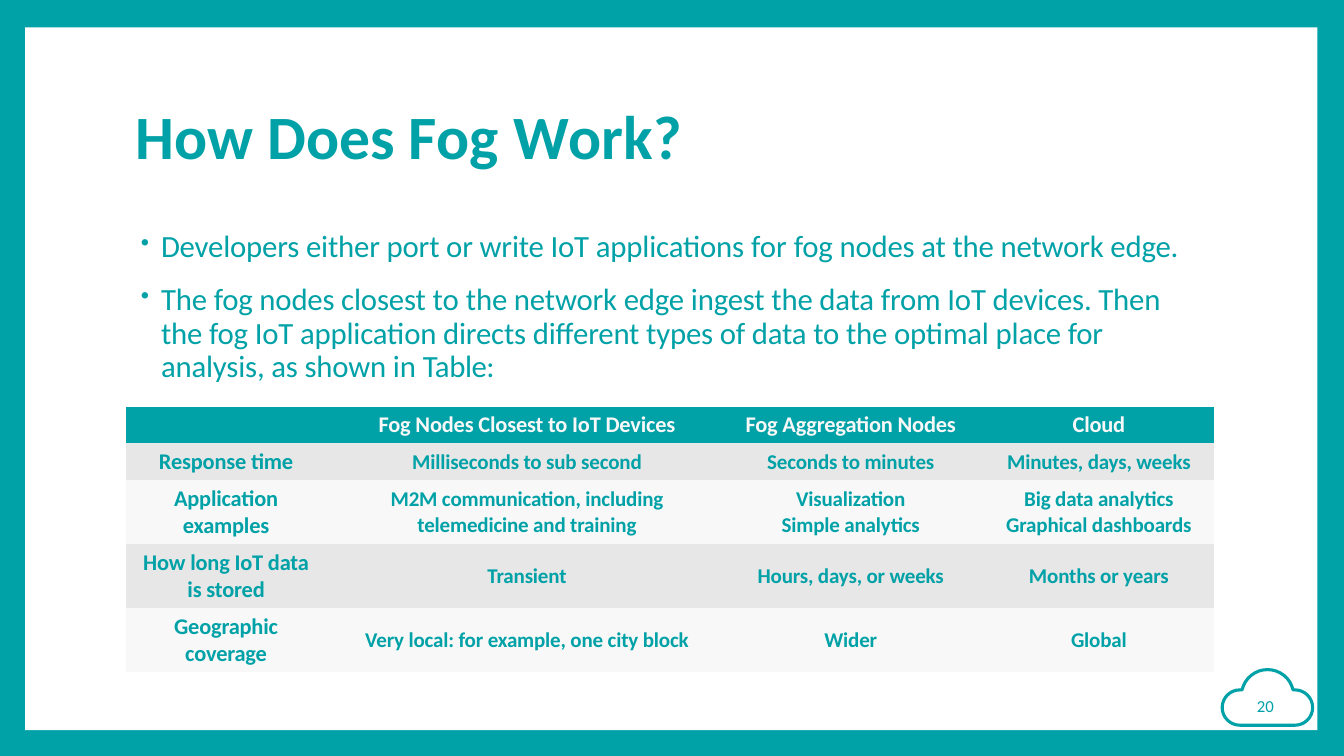
import math

from lxml import etree
from pptx import Presentation
from pptx.dml.color import RGBColor
from pptx.enum import shapes, text
from pptx.oxml import ns
from pptx.util import Pt

TEAL = RGBColor(0x00, 0xA1, 0xA7)
WHITE = RGBColor(0xFF, 0xFF, 0xFF)
PALE = RGBColor(0xF8, 0xF8, 0xF8)
GREY = RGBColor(0xE7, 0xE7, 0xE7)
NO_GRID = "{2D5ABB26-0587-4C30-8999-92F81FD0307C}"

TITLE = [("How Does Fog ", 0), ("W", -1.6), ("ork?", 0)]
POINTS = [
    [("Developers either port or write IoT applications", -0.1), (" for ", 0),
     ("fog nodes at the network edge.", -0.1)],
    [("The fog nodes closest ", -0.1), ("to ", 0),
     ("the network edge ingest the data from IoT devices. Then the fog IoT "
      "application directs different types of data to the optimal place for "
      "analysis, as shown in ", -0.1), ("Table:", -0.3)],
]
COMPARISON = [
    ["", "Fog Nodes Closest to IoT Devices", "Fog Aggregation Nodes", "Cloud"],
    ["Response time", "Milliseconds to sub second", "Seconds to minutes",
     "Minutes, days, weeks"],
    ["Application\nexamples",
     "M2M communication, including\ntelemedicine and training",
     "Visualization\nSimple analytics",
     "Big data analytics\nGraphical dashboards"],
    ["How long IoT data\nis stored", "Transient", "Hours, days, or weeks",
     "Months or years"],
    ["Geographic\ncoverage", "Very local: for example, one city block", "Wider",
     "Global"],
]
COLUMN_WIDTHS = [150, 273, 189.5, 165]
ROW_HEIGHTS = [26.3, 26.3, 45.7, 45.7, 45.7]
ROW_FILLS = [TEAL, GREY, PALE, GREY, PALE]
CLOUD_ARCS = [
    (885.6, 505.4, 12.6, 90, 270),
    (905.4, 497, 18.7, 193, 347),
    (925, 505.4, 12.6, -90, 90),
]


class Slide:
    font = "Calibri"

    def __init__(self, deck):
        self.slide = deck.slides.add_slide(deck.slide_layouts[6])
        self.shapes = self.slide.shapes

    def panel(self, left, top, width, height, color):
        panel = self.shapes.add_shape(shapes.MSO_SHAPE.RECTANGLE, Pt(left),
                                      Pt(top), Pt(width), Pt(height))
        panel.shadow.inherit = False
        panel.fill.solid()
        panel.fill.fore_color.rgb = color
        panel.line.fill.background()

    def outline(self, arcs, weight, steps=16):
        corners = []
        for x, y, radius, start, end in arcs:
            for step in range(steps + 1):
                angle = math.radians(start + (end - start) * step / steps)
                corners.append((Pt(x + radius * math.cos(angle)),
                                Pt(y + radius * math.sin(angle))))
        builder = self.shapes.build_freeform(*corners[0])
        builder.add_line_segments(corners[1:], close=True)
        cloud = builder.convert_to_shape()
        cloud.shadow.inherit = False
        cloud.fill.background()
        cloud.line.color.rgb = TEAL
        cloud.line.width = Pt(weight)

    def runs(self, paragraph, parts, size, color=TEAL, bold=False):
        for wording, spacing in parts:
            run = paragraph.add_run()
            run.text = wording
            run.font.name = self.font
            run.font.size = Pt(size)
            run.font.bold = bold
            run.font.color.rgb = color
            if spacing:
                run.font._element.set("spc", str(round(spacing * 100)))

    def frame(self, left, top, width, height):
        box = self.shapes.add_textbox(Pt(left), Pt(top), Pt(width), Pt(height))
        frame = box.text_frame
        frame.word_wrap = True
        frame.margin_left = frame.margin_right = 0
        frame.margin_top = frame.margin_bottom = 0
        return frame

    def line(self, left, top, width, height, parts, size, bold=False,
             align=text.PP_ALIGN.LEFT):
        paragraph = self.frame(left, top, width, height).paragraphs[0]
        paragraph.alignment = align
        self.runs(paragraph, parts, size, bold=bold)

    def bullets(self, left, top, width, height, points, size):
        frame = self.frame(left, top, width, height)
        for index, parts in enumerate(points):
            paragraph = frame.add_paragraph() if index else frame.paragraphs[0]
            if index:
                paragraph.space_before = Pt(14.2)
                paragraph.line_spacing = Pt(23.8)
            properties = paragraph._p.get_or_add_pPr()
            properties.set("marL", str(Pt(15)))
            properties.set("indent", str(Pt(-14.4)))
            etree.SubElement(properties, ns.qn("a:buSzPct"), val="80000")
            etree.SubElement(properties, ns.qn("a:buChar"), char="•")
            self.runs(paragraph, parts, size)

    def table(self, left, top, widths, heights, rows, fills):
        table = self.shapes.add_table(
            len(rows), len(widths), Pt(left), Pt(top),
            Pt(sum(widths)), Pt(sum(heights))).table
        table._tbl.tblPr.find(ns.qn("a:tableStyleId")).text = NO_GRID
        for column, width in zip(table.columns, widths):
            column.width = Pt(width)
        for r, (wordings, height, fill) in enumerate(zip(rows, heights, fills)):
            table.rows[r].height = Pt(height)
            for c, wording in enumerate(wordings):
                self.cell(table.cell(r, c), wording, fill,
                          size=15 if r and c else 16,
                          color=TEAL if r else PALE,
                          right=0 if c else 7)

    def cell(self, cell, wording, fill, size, color, right):
        cell.fill.solid()
        cell.fill.fore_color.rgb = fill
        cell.margin_left = cell.margin_top = cell.margin_bottom = 0
        cell.margin_right = Pt(right)
        cell.vertical_anchor = text.MSO_ANCHOR.MIDDLE
        if not wording:
            return
        for index, part in enumerate(wording.split("\n")):
            frame = cell.text_frame
            paragraph = frame.add_paragraph() if index else frame.paragraphs[0]
            paragraph.alignment = text.PP_ALIGN.CENTER
            self.runs(paragraph, [(part, -0.1)], size, color, bold=True)


def main():
    deck = Presentation()
    deck.slide_width, deck.slide_height = Pt(960), Pt(540)
    slide = Slide(deck)
    slide.panel(0, 0, 960, 540, TEAL)
    slide.panel(18, 19.5, 923, 502, WHITE)
    slide.outline(CLOUD_ARCS, weight=2.2)
    slide.line(97, 70, 403, 54, TITLE, 44, bold=True)
    slide.line(893.8, 496.7, 20, 15, [("20", 0)], 12,
               align=text.PP_ALIGN.CENTER)
    slide.bullets(100, 162, 760, 112, POINTS, 22)
    slide.table(90, 290.5, COLUMN_WIDTHS, ROW_HEIGHTS, COMPARISON, ROW_FILLS)
    deck.save("out.pptx")


if __name__ == "__main__":
    main()
